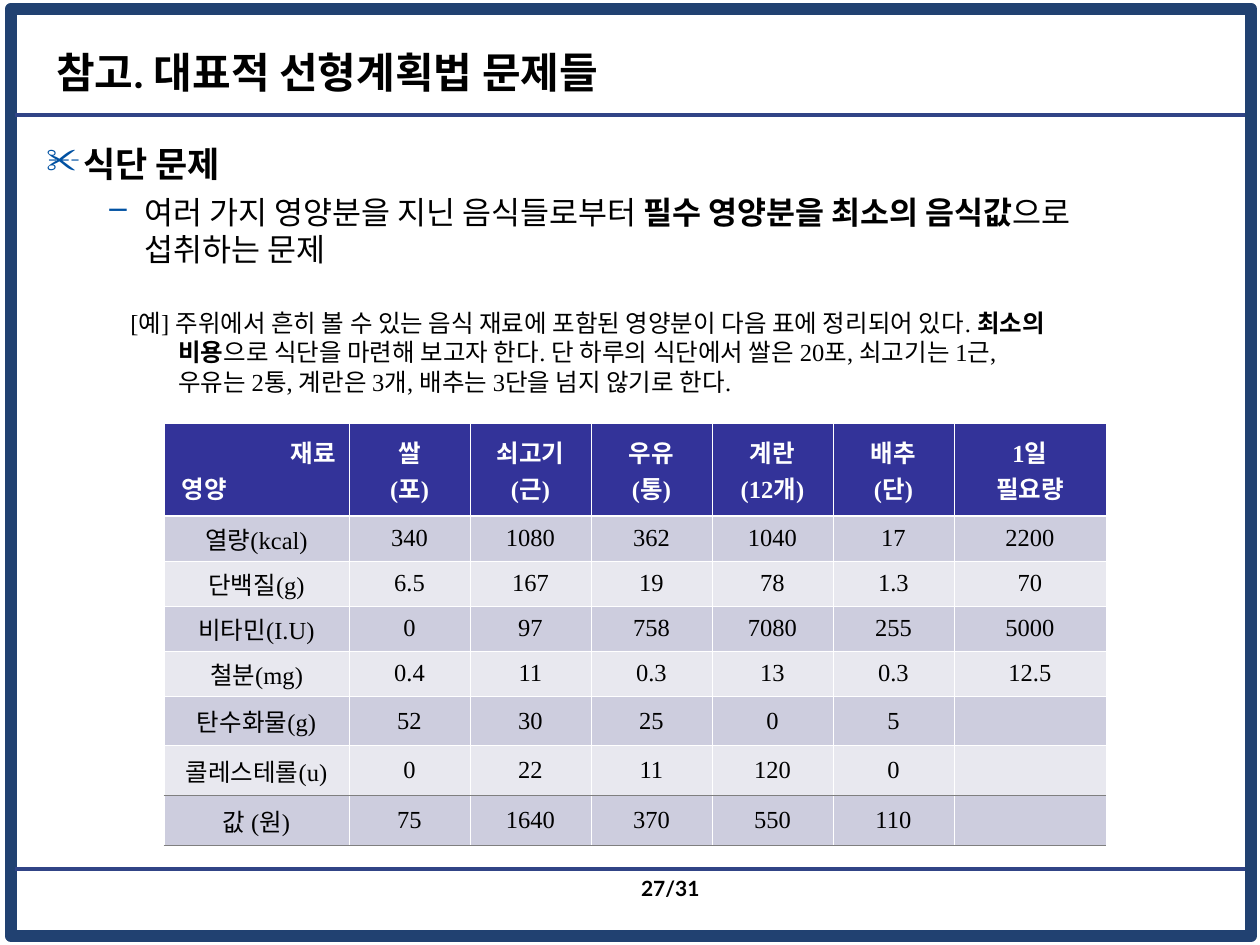
from pptx import Presentation
from pptx.dml.color import RGBColor
from pptx.enum.shapes import MSO_CONNECTOR, MSO_SHAPE
from pptx.enum.text import MSO_ANCHOR, PP_ALIGN
from pptx.oxml import parse_xml
from pptx.oxml.ns import nsdecls
from pptx.util import Emu, Pt

PX = 914400 / 126
COLORS = {
    "frame": "214171", "rule": "314486", "bullet": "0051A2", "text": "000000",
    "white": "FFFFFF", "header": "333399", "odd": "CDCDDE", "even": "E8E8EF",
    "gray": "7F7F7F",
}
SANS, SERIF = "Lato", "Times New Roman"
LEFT, CENTER, RIGHT = PP_ALIGN.LEFT, PP_ALIGN.CENTER, PP_ALIGN.RIGHT


def px(n):
    return Emu(round(n * PX))


def rgb(name):
    return RGBColor.from_string(COLORS[name])


class Deck:
    def __init__(self, width, height):
        self.prs = Presentation()
        self.prs.slide_width, self.prs.slide_height = px(width), px(height)
        self.slide = self.prs.slides.add_slide(self.prs.slide_layouts[6])
        self.shapes = self.slide.shapes

    def frame(self, x, y, w, h, color, weight):
        sp = self.shapes.add_shape(MSO_SHAPE.RECTANGLE, px(x), px(y), px(w), px(h))
        sp.shadow.inherit = False
        sp.fill.background()
        sp.line.color.rgb = rgb(color)
        sp.line.width = Pt(weight)

    def rule(self, x1, x2, y):
        line = self.shapes.add_connector(
            MSO_CONNECTOR.STRAIGHT, px(x1), px(y), px(x2), px(y))
        line.line.color.rgb = rgb("rule")
        line.line.width = Pt(2)
        line._element.spPr.append(parse_xml(f"<a:effectLst {nsdecls('a')}/>"))

    def box(self, x, y, w, h, anchor=MSO_ANCHOR.TOP, wrap=True):
        tf = self.shapes.add_textbox(px(x), px(y), px(w), px(h)).text_frame
        tf.word_wrap = wrap
        tf.vertical_anchor = anchor
        return tf

    def para(self, tf, runs, size, font=SANS, color="text", first=True,
             indent=None, bullet=None, **fmt):
        """Write (text, bold) runs; a newline in a text is a line break."""
        p = tf.paragraphs[0] if first else tf.add_paragraph()
        for name, value in fmt.items():
            setattr(p, name, value)
        pPr = p._p.get_or_add_pPr()
        if indent:
            margin, hanging = indent
            pPr.set("marL", str(px(margin)))
            pPr.set("indent", str(px(-hanging)))
        if bullet:
            pPr.append(parse_xml(f'<a:buClr {nsdecls("a")}><a:srgbClr '
                                 f'val="{COLORS["bullet"]}"/></a:buClr>'))
            pPr.append(parse_xml(f'<a:buChar {nsdecls("a")} char="{bullet}"/>'))
        for text, bold in runs:
            for i, part in enumerate(text.split("\n")):
                if i:
                    p.add_line_break()
                r = p.add_run()
                r.text = part
                style = {"size": Pt(size), "name": font, "bold": bold}
                for name, value in style.items():
                    setattr(r.font, name, value)
                r.font.color.rgb = rgb(color)

    def table(self, x, y, widths, heights):
        tbl = self.shapes.add_table(
            len(heights), len(widths), px(x), px(y),
            px(sum(widths)), px(sum(heights))).table
        tbl.first_row = tbl.horz_banding = False
        for col, w in zip(tbl.columns, widths):
            col.width = px(w)
        for row, h in zip(tbl.rows, heights):
            row.height = px(h)
        return tbl

    def cell(self, cell, fill, top, bottom, margins=(5, 6, 5, 6)):
        """Fill a cell and draw its borders; top and bottom are (color, points)."""
        cell.vertical_anchor = MSO_ANCHOR.MIDDLE
        for side, m in zip(("left", "top", "right", "bottom"), margins):
            setattr(cell, f"margin_{side}", px(m))
        cell.fill.solid()
        cell.fill.fore_color.rgb = rgb(fill)
        tcPr = cell._tc.get_or_add_tcPr()
        borders = {"lnL": THIN, "lnR": THIN, "lnT": top, "lnB": bottom}
        for i, (tag, (color, weight)) in enumerate(borders.items()):
            tcPr.insert(i, parse_xml(
                f'<a:{tag} {nsdecls("a")} w="{Pt(weight)}"><a:solidFill>'
                f'<a:srgbClr val="{COLORS[color]}"/></a:solidFill></a:{tag}>'))


THIN, THICK, GRAY = ("white", 0.45), ("white", 1.47), ("gray", 0.45)
HEADER = ["", "쌀\n(포)", "쇠고기\n(근)", "우유\n(통)", "계란\n(12개)",
          "배추\n(단)", "1일\n필요량"]
NUTRIENTS = [
    ["열량(kcal)", "340", "1080", "362", "1040", "17", "2200"],
    ["단백질(g)", "6.5", "167", "19", "78", "1.3", "70"],
    ["비타민(I.U)", "0", "97", "758", "7080", "255", "5000"],
    ["철분(mg)", "0.4", "11", "0.3", "13", "0.3", "12.5"],
    ["탄수화물(g)", "52", "30", "25", "0", "5", ""],
    ["콜레스테롤(u)", "0", "22", "11", "120", "0", ""],
    ["값 (원)", "75", "1640", "370", "550", "110", ""],
]


def main():
    deck = Deck(1260, 945)

    # Frame, rules and page number
    deck.frame(11, 9, 1240, 927, "frame", 7)
    for y in (115, 869):
        deck.rule(15, 1245, y)
    tf = deck.box(547, 869, 165, 42, wrap=False)
    deck.para(tf, [("27/31", True)], 12, alignment=RIGHT)

    # Title
    tf = deck.box(44, 38, 983, 68, MSO_ANCHOR.MIDDLE)
    deck.para(tf, [("참고. 대표적 선형계획법 문제들", True)], 24)

    # Diet problem
    tf = deck.box(34, 135, 1162, 714)
    deck.para(tf, [("식단 문제", True)], 20, indent=(37, 37), bullet="✂",
              space_before=Pt(5), line_spacing=Pt(25))
    deck.para(tf, [("여러 가지 영양분을 지닌 음식들로부터 ", False),
                   ("필수 영양분을 최소의 음식값", True),
                   ("으로 섭취하는 문제", False)],
              18, first=False, indent=(98, 35), bullet="–", level=1,
              space_before=Pt(4.5), line_spacing=Pt(21.5))

    # Example
    tf = deck.box(118, 302, 1082, 101)
    deck.para(tf, [("[예] 주위에서 흔히 볼 수 있는 음식 재료에 포함된 영양분이 "
                    "다음 표에 정리되어 있다. ", False),
                   ("최소의\n비용", True),
                   ("으로 식단을 마련해 보고자 한다. 단 하루의 식단에서 쌀은 20포, "
                    "쇠고기는 1근,\n우유는 2통, 계란은 3개, 배추는 3단을 넘지 "
                    "않기로 한다.", False)],
              14, SERIF, indent=(48, 48), line_spacing=Pt(16.75))

    # Nutrition table
    rows = [HEADER] + NUTRIENTS
    bottoms = [THICK] + [THIN] * 5 + [GRAY] * 2
    tops = [THIN] + bottoms[:-1]
    tbl = deck.table(164, 423, [185] + [121] * 5 + [152], [93] + [45] * 7)
    for i, row in enumerate(rows):
        fill = "header" if i == 0 else "odd" if i % 2 else "even"
        for j, text in enumerate(row):
            cell = tbl.cell(i, j)
            margins = (5, 6, 5, 6)
            if j == 0:
                margins = (5, 6, 5, 0) if i else (18, 6, 13, 6)
            deck.cell(cell, fill, tops[i], bottoms[i], margins)
            if text:
                spacing = Pt(20.5) if i == 0 else Pt(17) if j == 0 else None
                deck.para(cell.text_frame, [(text, i == 0)], 14, SERIF,
                          "text" if i else "white",
                          alignment=CENTER, line_spacing=spacing)

    # Corner cell names both axes
    corner = tbl.cell(0, 0).text_frame
    for k, (text, align) in enumerate((("재료", RIGHT), ("영양", LEFT))):
        deck.para(corner, [(text, True)], 14, SERIF, "white", first=k == 0,
                  alignment=align, line_spacing=Pt(20.5))

    deck.prs.save("out.pptx")


if __name__ == "__main__":
    main()
